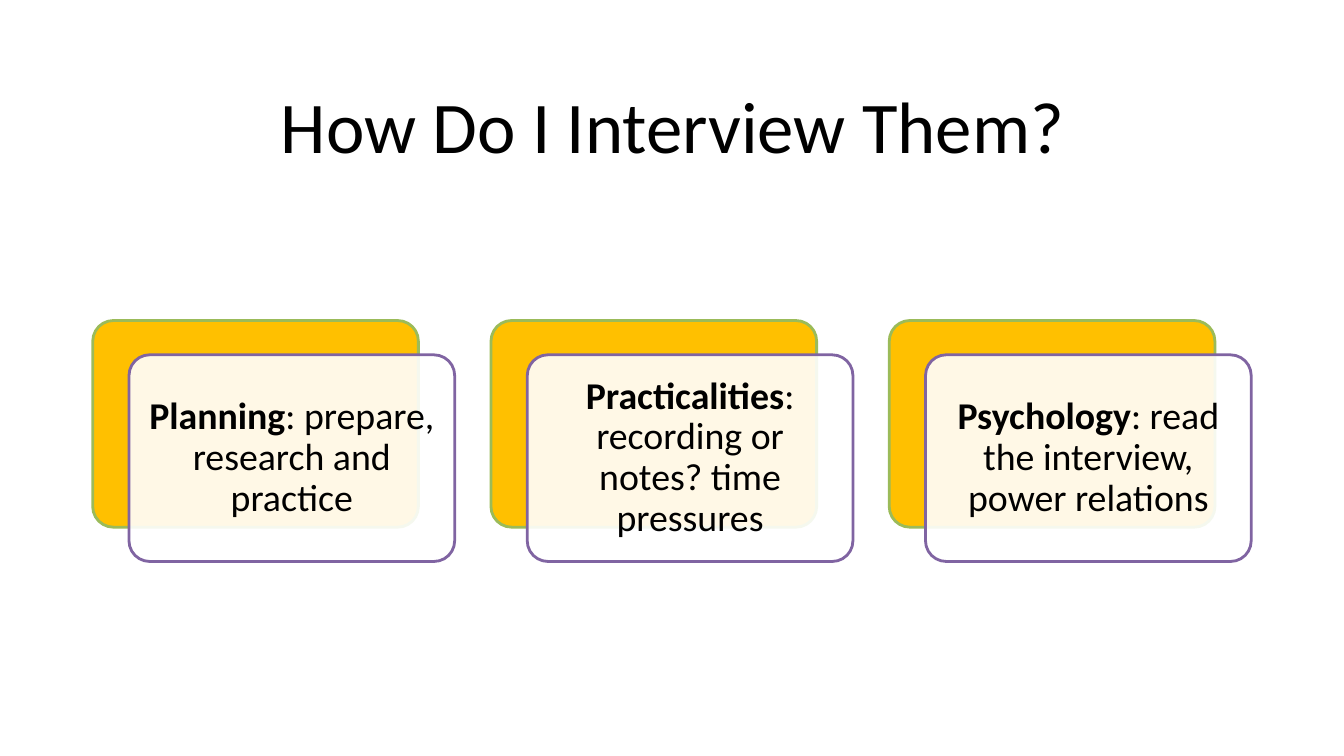
from dataclasses import dataclass

from lxml import etree
from pptx import Presentation
from pptx.dml.color import RGBColor
from pptx.enum.shapes import MSO_SHAPE
from pptx.enum.text import MSO_ANCHOR, PP_ALIGN
from pptx.oxml.ns import qn
from pptx.shapes.autoshape import Shape
from pptx.slide import Slide
from pptx.util import Inches, Pt

ROUNDED = MSO_SHAPE.ROUNDED_RECTANGLE
MIDDLE = MSO_ANCHOR.MIDDLE
CENTER = PP_ALIGN.CENTER


@dataclass(frozen=True)
class Theme:
    font: str = "Calibri"
    ink: str = "000000"
    back_fill: str = "FFC000"
    back_line: str = "9BBB59"
    front_fill: str = "FFFFFF"
    front_line: str = "8064A2"
    front_opacity: int = 90
    title_size: float = 52
    body_size: float = 27
    line_width: float = 2


@dataclass(frozen=True)
class Box:
    left: float
    top: float
    width: float
    height: float

    def shifted(self, across: float, down: float) -> "Box":
        return Box(self.left + across, self.top + down, self.width, self.height)

    def lengths(self) -> list[int]:
        return [Inches(v) for v in (self.left, self.top, self.width, self.height)]


@dataclass(frozen=True)
class Topic:
    name: str
    advice: str


THEME = Theme()
SLIDE_WIDTH, SLIDE_HEIGHT = 13.33, 7.5
TITLE_BOX = Box(0.92, 0.61, 11.5, 1.24)
FIRST_CARD = Box(0.92, 3.18, 3.23, 2.05)
COLUMN_PITCH = 3.95
FRONT_OFFSET = (0.36, 0.34)
TOPICS = [
    Topic("Planning", ": prepare, research and practice"),
    Topic("Practicalities", ": recording or notes? time pressures"),
    Topic("Psychology", ": read the interview, power relations"),
]


def write(
    shape: Shape,
    *runs: tuple[str, bool],
    size: float,
    inset: float = 0.1,
    line_spacing: float = 1.0,
    space_after: float = 0,
) -> None:
    frame = shape.text_frame
    frame.word_wrap = True
    frame.vertical_anchor = MIDDLE
    frame.margin_left = frame.margin_right = Inches(inset)
    frame.margin_top = frame.margin_bottom = Inches(inset)
    paragraph = frame.paragraphs[0]
    paragraph.alignment = CENTER
    paragraph.line_spacing = line_spacing
    paragraph.space_after = Pt(space_after)
    for text, bold in runs:
        run = paragraph.add_run()
        run.text = text
        run.font.name = THEME.font
        run.font.size = Pt(size)
        run.font.bold = bold
        run.font.color.rgb = RGBColor.from_string(THEME.ink)


def add_card(slide: Slide, box: Box, fill: str, line: str, opacity: int = 100) -> Shape:
    card = slide.shapes.add_shape(ROUNDED, *box.lengths())
    card.adjustments[0] = 0.1
    card.shadow.inherit = False
    card.fill.solid()
    card.fill.fore_color.rgb = RGBColor.from_string(fill)
    card.line.color.rgb = RGBColor.from_string(line)
    card.line.width = Pt(THEME.line_width)
    if opacity < 100:
        colour = card.fill._xPr.find(qn("a:solidFill"))[0]
        etree.SubElement(colour, qn("a:alpha"), val=str(opacity * 1000))
    return card


def add_topic(slide: Slide, topic: Topic, column: int) -> None:
    back = FIRST_CARD.shifted(column * COLUMN_PITCH, 0)
    add_card(slide, back, THEME.back_fill, THEME.back_line)
    front = add_card(
        slide,
        back.shifted(*FRONT_OFFSET),
        THEME.front_fill,
        THEME.front_line,
        THEME.front_opacity,
    )
    write(
        front,
        (topic.name, True),
        (topic.advice, False),
        size=THEME.body_size,
        inset=0.11,
        line_spacing=0.9,
        space_after=0.35 * THEME.body_size,
    )


def main() -> None:
    deck = Presentation()
    deck.slide_width = Inches(SLIDE_WIDTH)
    deck.slide_height = Inches(SLIDE_HEIGHT)
    slide = deck.slides.add_slide(deck.slide_layouts[6])
    title = slide.shapes.add_textbox(*TITLE_BOX.lengths())
    write(title, ("How Do I Interview Them?", False), size=THEME.title_size)
    for column, topic in enumerate(TOPICS):
        add_topic(slide, topic, column)
    deck.save("out.pptx")


if __name__ == "__main__":
    main()
